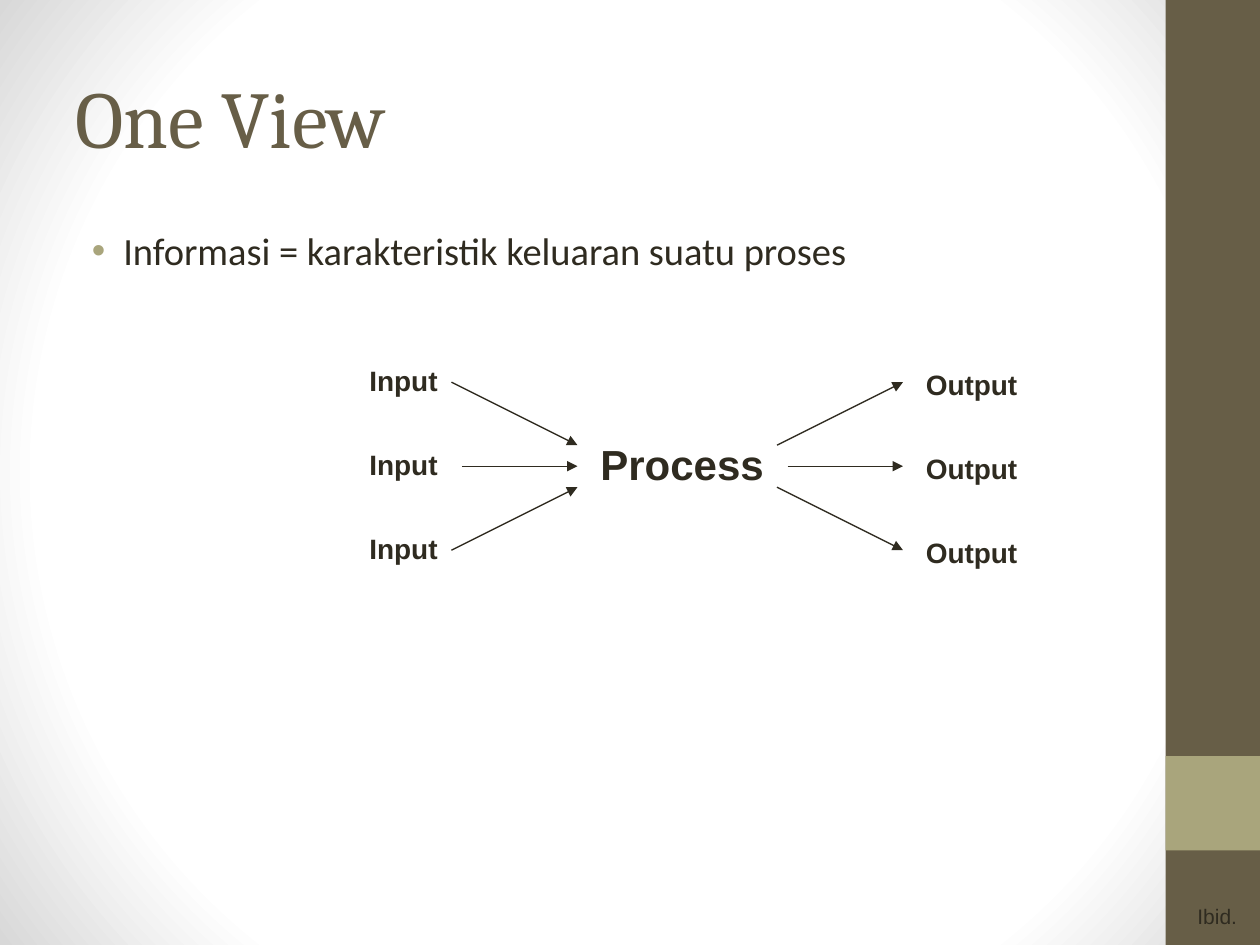
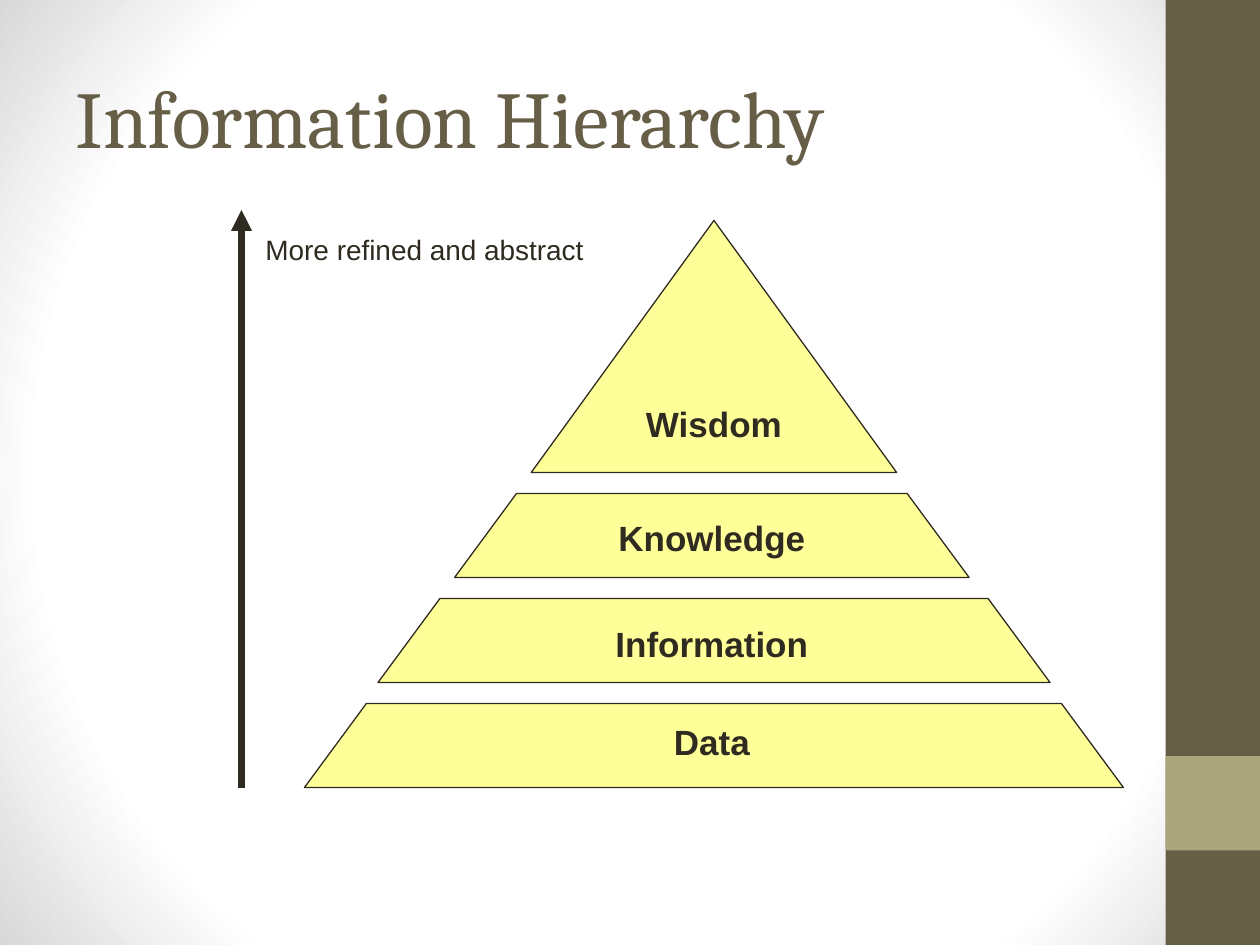
from lxml import etree
from pptx import Presentation
from pptx import util as u
from pptx.dml import color
from pptx.enum import shapes, text
from pptx.oxml import ns, parse_xml

HUES = {
    "band": "675E47",
    "accent": "A9A57C",
    "ink": "2F2B20",
    "block": "FFFF99",
    "page": "FFFFFF",
    "edge": "D8D8D8",
}
COLS, ROWS = 120, 90  # grid cells across and down the slide
LEFT, CENTER, RIGHT = text.PP_ALIGN.LEFT, text.PP_ALIGN.CENTER, text.PP_ALIGN.RIGHT


def rgb(hue):
    return color.RGBColor.from_string(HUES[hue])


class Deck:
    """Holds the shared style and the slide being drawn."""

    def __init__(self):
        self.show = Presentation()
        self.show.slide_width, self.show.slide_height = u.Inches(10), u.Inches(7.5)
        self.cell = self.show.slide_width / COLS
        self.slide = None

    def pos(self, *cells):
        return [round(c * self.cell) for c in cells]

    # Shared page: gradient, side band and title
    def page(self, title):
        self.slide = self.show.slides.add_slide(self.show.slide_layouts[6])
        self.glow()
        self.block(111, 0, 9, ROWS, "band")
        self.block(111, 72, 9, 9, "accent")
        self.words(6, 3.6, 100, 15, title, 46, "Cambria", "band", mid=True)

    def glow(self):
        fill = self.slide.background.fill
        fill.gradient()
        grad = self.slide.element.find(".//" + ns.qn("a:gradFill"))
        stops = "".join(
            f'<a:gs pos="{pos}000"><a:srgbClr val="{HUES[hue]}"/></a:gs>'
            for pos, hue in ((0, "page"), (75, "page"), (100, "edge"))
        )
        grad.getparent().replace(grad, parse_xml(
            f'<a:gradFill {ns.nsdecls("a")} rotWithShape="1"><a:gsLst>{stops}</a:gsLst>'
            '<a:path path="circle"><a:fillToRect l="50000" t="50000" r="50000" b="50000"/>'
            "</a:path></a:gradFill>"
        ))

    def paint(self, shape, hue, edge=None):
        shape.shadow.inherit = False
        shape.fill.solid()
        shape.fill.fore_color.rgb = rgb(hue)
        if edge:
            shape.line.color.rgb = rgb(edge)
            shape.line.width = u.Pt(0.75)
        else:
            shape.line.fill.background()

    def block(self, x, y, w, h, hue, edge=None, kind=shapes.MSO_SHAPE.RECTANGLE):
        shape = self.slide.shapes.add_shape(kind, *self.pos(x, y, w, h))
        self.paint(shape, hue, edge)

    def tier(self, x, y, w, h, inset):
        start, *rest = [
            self.pos(*spot)
            for spot in ((x, y + h), (x + inset, y), (x + w - inset, y), (x + w, y + h))
        ]
        pen = self.slide.shapes.build_freeform(*start, scale=1.0)
        pen.add_line_segments(rest, close=True)
        self.paint(pen.convert_to_shape(), "block", "ink")

    def words(self, x, y, w, h, line, size, font="Arial", hue="ink",
              bold=False, align=LEFT, mid=False):
        frame = self.slide.shapes.add_textbox(*self.pos(x, y, w, h)).text_frame
        frame.word_wrap = True
        if mid:
            frame.vertical_anchor = text.MSO_ANCHOR.MIDDLE
        para = frame.paragraphs[0]
        para.alignment = align
        run = para.add_run()
        run.text = line
        run.font.name, run.font.size, run.font.bold = font, u.Pt(size), bold
        run.font.color.rgb = rgb(hue)
        return para

    def bullet(self, x, y, w, h, line):
        props = self.words(x, y, w, h, line, 22, "Calibri")._p.get_or_add_pPr()
        props.set("marL", str(u.Inches(0.38)))
        props.set("indent", str(u.Inches(-0.25)))
        tint = etree.SubElement(props, ns.qn("a:buClr"))
        etree.SubElement(tint, ns.qn("a:srgbClr"), val=HUES["accent"])
        etree.SubElement(props, ns.qn("a:buFont"), typeface="Arial")
        etree.SubElement(props, ns.qn("a:buChar"), char="•")

    def arrow(self, x1, y1, x2, y2, width=0.75):
        line = self.slide.shapes.add_connector(
            shapes.MSO_CONNECTOR.STRAIGHT, *self.pos(x1, y1, x2, y2))
        line.line.color.rgb = rgb("ink")
        line.line.width = u.Pt(width)
        etree.SubElement(line.line._get_or_add_ln(), ns.qn("a:tailEnd"), type="triangle")
        etree.SubElement(line._element.spPr, ns.qn("a:effectLst"))


def view(deck):
    deck.page("One View")
    deck.bullet(6, 21, 100, 63, "Informasi = karakteristik keluaran suatu proses")
    deck.words(60, 85.5, 59, 3.6, "Ibid.", 12, align=RIGHT)

    # Inputs fan in to the process, outputs fan out
    deck.words(56, 41.2, 18, 6, "Process", 24, bold=True)
    axis = 44.4
    for step in (-1, 0, 1):
        far, near = axis + 8 * step, axis + 2 * step
        deck.words(34, 42 + 8 * step, 10, 4.4, "Input", 16, bold=True)
        deck.arrow(44 - abs(step), far, 55, near)
        deck.arrow(75 - abs(step), near, 86, far)
        deck.words(87, 42.4 + 8 * step, 12, 4.4, "Output", 16, bold=True)


def ladder(deck):
    deck.page("Information Hierarchy")

    # Pyramid, from the base up
    tiers = (("Data", 29, 78, 68), ("Information", 36, 64, 58.7), ("Knowledge", 43.3, 49, 48.6))
    for rank, (name, x, w, top) in enumerate(tiers):
        deck.tier(x, 67 - 10 * rank, w, 8, 5.9)
        deck.words(55.8, top, 24, 5.2, name, 20, bold=True, align=CENTER)
    deck.block(50.6, 21, 34.8, 24, "block", "ink", shapes.MSO_SHAPE.ISOSCELES_TRIANGLE)
    deck.words(56, 37.7, 24, 5.2, "Wisdom", 20, bold=True, align=CENTER)

    # Scale of refinement
    deck.arrow(23, 75, 23, 20, 4)
    deck.words(24.1, 21.6, 34, 4.4, "More refined and abstract", 16)


def main():
    deck = Deck()
    view(deck)
    ladder(deck)
    deck.show.save("out.pptx")


if __name__ == "__main__":
    main()
